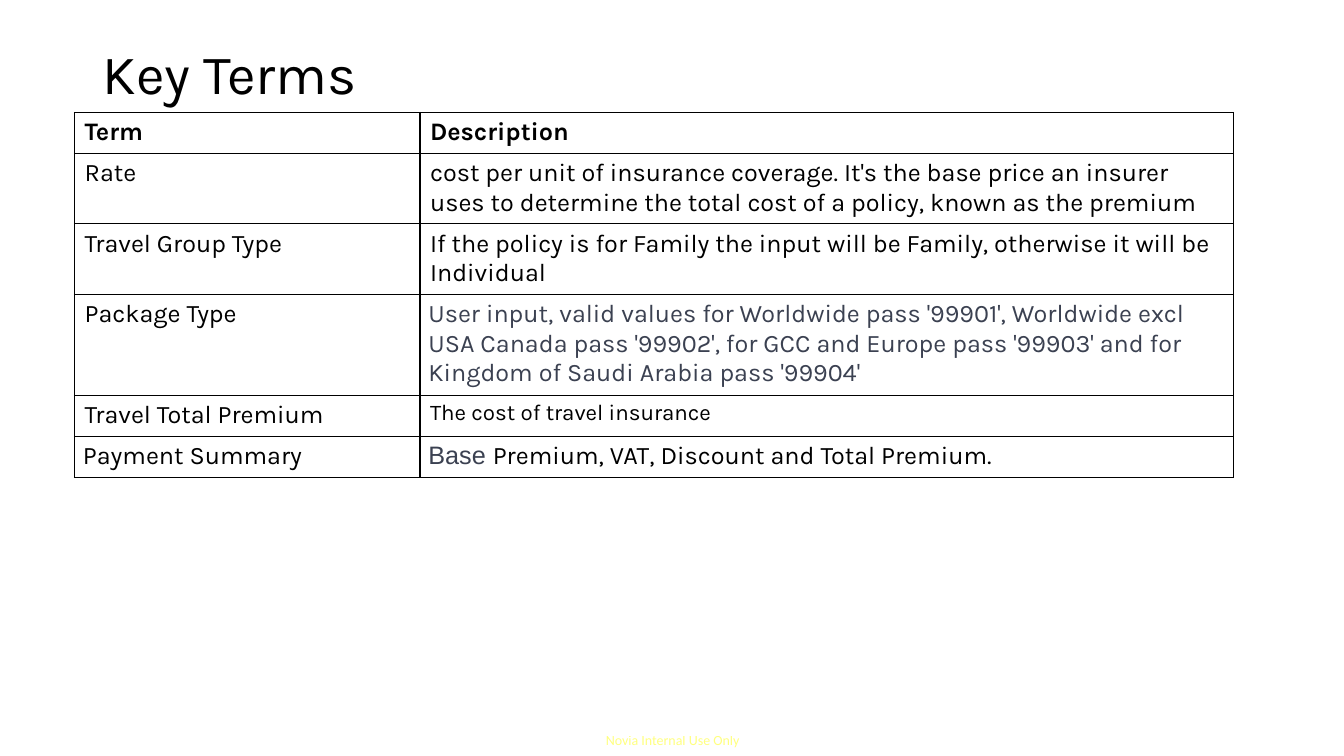
import pptx
import pptx.dml.color
import pptx.enum.text
import pptx.oxml
import pptx.oxml.ns
import pptx.util

TERMS = [
    ("Term", "Description", 1),
    ("Rate", "cost per unit of insurance coverage. It's the base price an insurer uses "
     "to determine the total cost of a policy, known as the premium", 2),
    ("Travel Group Type", "If the policy is for Family the input will be Family, "
     "otherwise it will be Individual", 2),
    ("Package Type", "User input, valid values for Worldwide pass '99901', Worldwide excl "
     "USA Canada pass '99902', for GCC and Europe pass '99903' and for Kingdom of Saudi "
     "Arabia pass '99904'", 3),
    ("Travel Total Premium", "The cost of travel insurance", 1),
    ("Payment Summary", "", 1),
]
NARROW_INSET = {(3, 1), (5, 0), (5, 1)}


def px(n):
    return pptx.util.Emu(n * 9525)


def color(value):
    return pptx.dml.color.RGBColor.from_string(value)


class Deck:
    font = "Karla"
    black = "000000"
    slate = "3B4151"

    def __init__(self):
        self.prs = pptx.Presentation()
        self.prs.slide_width, self.prs.slide_height = px(1280), px(720)
        self.slide = self.prs.slides.add_slide(self.prs.slide_layouts[5])

    def style(self, font, size, hex_color, name=None, bold=False):
        font.size = pptx.util.Pt(size)
        font.name = name or self.font
        font.bold = bold
        font.color.rgb = color(hex_color)

    def title(self, text, x, y, w, h):
        sp = self.slide.shapes.title
        sp.left, sp.top, sp.width, sp.height = px(x), px(y), px(w), px(h)
        tf = sp.text_frame
        tf.text = text
        tf.auto_size = pptx.enum.text.MSO_AUTO_SIZE.NONE
        tf.vertical_anchor = pptx.enum.text.MSO_ANCHOR.MIDDLE
        p = tf.paragraphs[0]
        p.alignment = pptx.enum.text.PP_ALIGN.LEFT
        p.line_spacing = 0.9
        self.style(p.font, 39.6, self.black)

    def footer(self, text, x, y, w, h):
        tf = self.slide.shapes.add_textbox(px(x), px(y), px(w), px(h)).text_frame
        tf.margin_left = tf.margin_right = tf.margin_top = tf.margin_bottom = 0
        r = tf.paragraphs[0].add_run()
        r.text = text
        self.style(r.font, 10, "FFFF00", "Calibri")
        fill = r.font.fill._xPr.find(pptx.oxml.ns.qn("a:solidFill"))
        fill[0].append(pptx.oxml.parse_xml(
            f'<a:alpha {pptx.oxml.ns.nsdecls("a")} val="50000"/>'))

    def borders(self, cell):
        tc_pr = cell._tc.get_or_add_tcPr()
        for i, side in enumerate("LRTB"):
            tc_pr.insert(i, pptx.oxml.parse_xml(
                f'<a:ln{side} {pptx.oxml.ns.nsdecls("a")} w="12700"><a:solidFill>'
                f'<a:srgbClr val="{self.black}"/></a:solidFill></a:ln{side}>'))

    def table(self, rows, x, y, widths, row_height, line_height):
        heights = [row_height + line_height * (lines - 1) for *_, lines in rows]
        table = self.slide.shapes.add_table(
            len(rows), len(widths), px(x), px(y), px(sum(widths)), px(sum(heights))).table
        table.first_row = table.horz_banding = False
        for col, width in zip(table.columns, widths):
            col.width = px(width)
        for i, (*texts, _) in enumerate(rows):
            table.rows[i].height = px(heights[i])
            for j, text in enumerate(texts):
                cell = table.cell(i, j)
                cell.text = text
                cell.fill.background()
                self.borders(cell)
                if (i, j) in NARROW_INSET:
                    cell.margin_left = cell.margin_right = px(8)
                self.style(cell.text_frame.paragraphs[0].font,
                           16 if (i, j) == (4, 1) else 18,
                           self.slate if (i, j) == (3, 1) else self.black,
                           bold=i == 0)
        return table

    def runs(self, p, parts):
        for text, name, hex_color in parts:
            r = p.add_run()
            r.text = text
            self.style(r.font, 18, hex_color, name)


def main():
    deck = Deck()
    deck.footer("Novia Internal Use Only", 577, 697, 129, 16)
    deck.title("Key Terms", 88, 38, 1104, 69)
    table = deck.table(TERMS, 71, 107, [329, 775], 39, 27)
    deck.runs(table.cell(5, 1).text_frame.paragraphs[0], [
        ("Base ", "Arial", deck.slate),
        ("Premium, VAT, Discount and Total Premium.", deck.font, deck.black),
    ])
    deck.prs.save("out.pptx")


if __name__ == "__main__":
    main()
